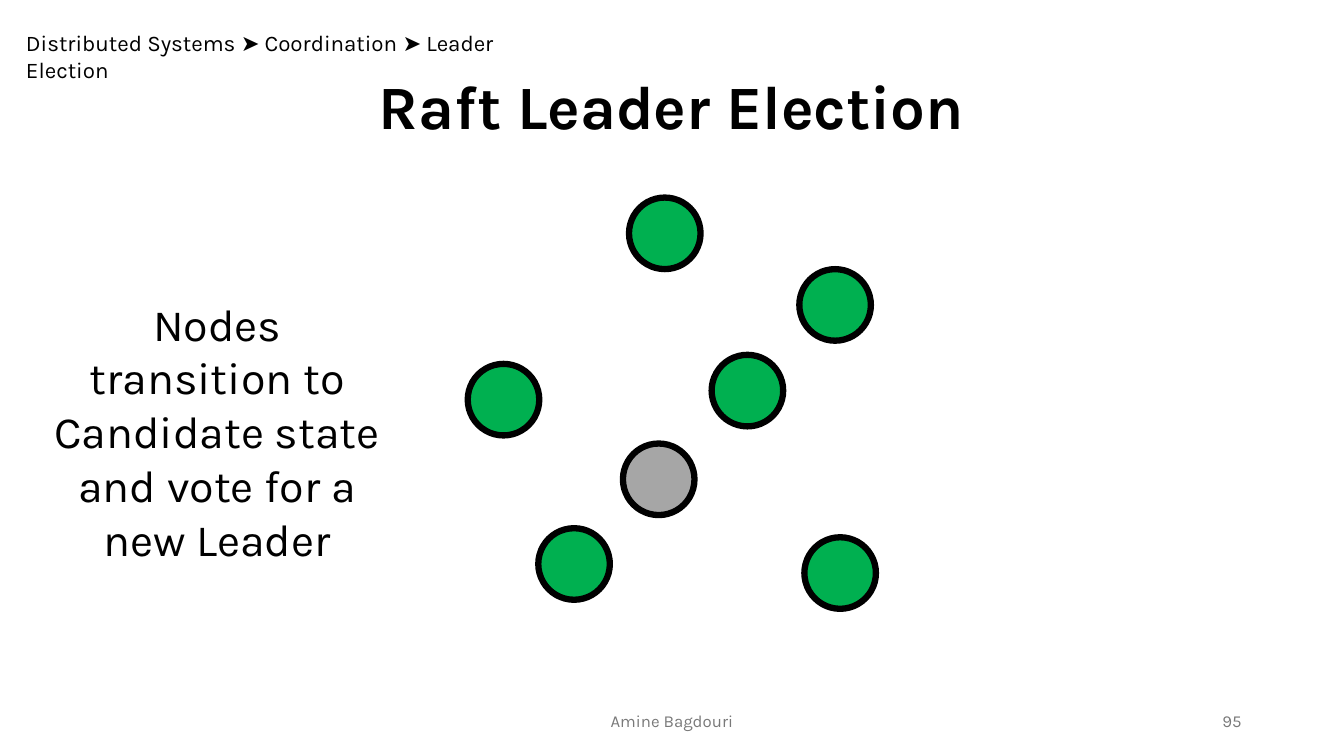
import pptx
import pptx.dml.color
import pptx.enum.shapes
import pptx.enum.text
import pptx.util

Pt = pptx.util.Pt
RGBColor = pptx.dml.color.RGBColor
ALIGN = pptx.enum.text.PP_ALIGN
ANCHOR = pptx.enum.text.MSO_ANCHOR

BLACK = RGBColor(0x00, 0x00, 0x00)
FOOTER_GRAY = RGBColor(0x79, 0x79, 0x79)
CANDIDATE_GREEN = RGBColor(0x00, 0xB0, 0x50)
FAILED_GRAY = RGBColor(0xA6, 0xA6, 0xA6)
FONT = "Karla"

# Text, (left, top, width, height), size, colour, alignment, anchor
TITLE = ("Raft Leader Election", (0, 44.64, 960, 60.48),
         44, BLACK, ALIGN.CENTER, ANCHOR.TOP)
LABELS = [
    ("Distributed Systems ➤ Coordination ➤ Leader Election",
     (11.52, 17.28, 401, 26.64), 16, BLACK, ALIGN.LEFT, ANCHOR.TOP),
    ("Amine Bagdouri", (318, 500.4, 324, 28.8),
     12, FOOTER_GRAY, ALIGN.CENTER, ANCHOR.MIDDLE),
    ("95", (678, 500.4, 216, 28.8),
     12, FOOTER_GRAY, ALIGN.RIGHT, ANCHOR.MIDDLE),
    ("Nodes transition to Candidate state and vote for a new Leader",
     (29.52, 208.08, 251.28, 162.72), 32, BLACK, ALIGN.CENTER, ANCHOR.TOP),
]

NODE_SIZE = 51.12
CANDIDATES = [(570.96, 192.24), (508.32, 253.44), (384.48, 377.28),
              (449.28, 141.12), (334.08, 259.92), (574.56, 383.76)]
FAILED_LEADER = (444.96, 316.8)


def write(box, text, place, size, color, align, anchor):
    """Place a text-bearing shape and fill it with one formatted paragraph."""
    box.left, box.top, box.width, box.height = map(Pt, place)
    frame = box.text_frame
    frame.text = text
    frame.word_wrap = True
    frame.auto_size = pptx.enum.text.MSO_AUTO_SIZE.NONE
    frame.vertical_anchor = anchor
    paragraph = frame.paragraphs[0]
    paragraph.alignment = align
    paragraph.font.name = FONT
    paragraph.font.size = Pt(size)
    paragraph.font.color.rgb = color
    return paragraph


def add_node(group, center_fill, left, top):
    node = group.shapes.add_shape(pptx.enum.shapes.MSO_SHAPE.OVAL,
                                  Pt(left), Pt(top), Pt(NODE_SIZE), Pt(NODE_SIZE))
    node.shadow.inherit = False
    node.fill.solid()
    node.fill.fore_color.rgb = center_fill
    node.line.color.rgb = BLACK
    node.line.width = Pt(4.5)


def main():
    deck = pptx.Presentation()
    deck.slide_width, deck.slide_height = Pt(960), Pt(540)
    slide = deck.slides.add_slide(deck.slide_layouts.get_by_name("Title Only"))

    write(slide.shapes.title, *TITLE).font.bold = True
    for label in LABELS:
        write(slide.shapes.add_textbox(0, 0, 0, 0), *label)

    cluster = slide.shapes.add_group_shape()
    for left, top in CANDIDATES:
        add_node(cluster, CANDIDATE_GREEN, left, top)
    add_node(cluster, FAILED_GRAY, *FAILED_LEADER)

    deck.save("out.pptx")


if __name__ == "__main__":
    main()
